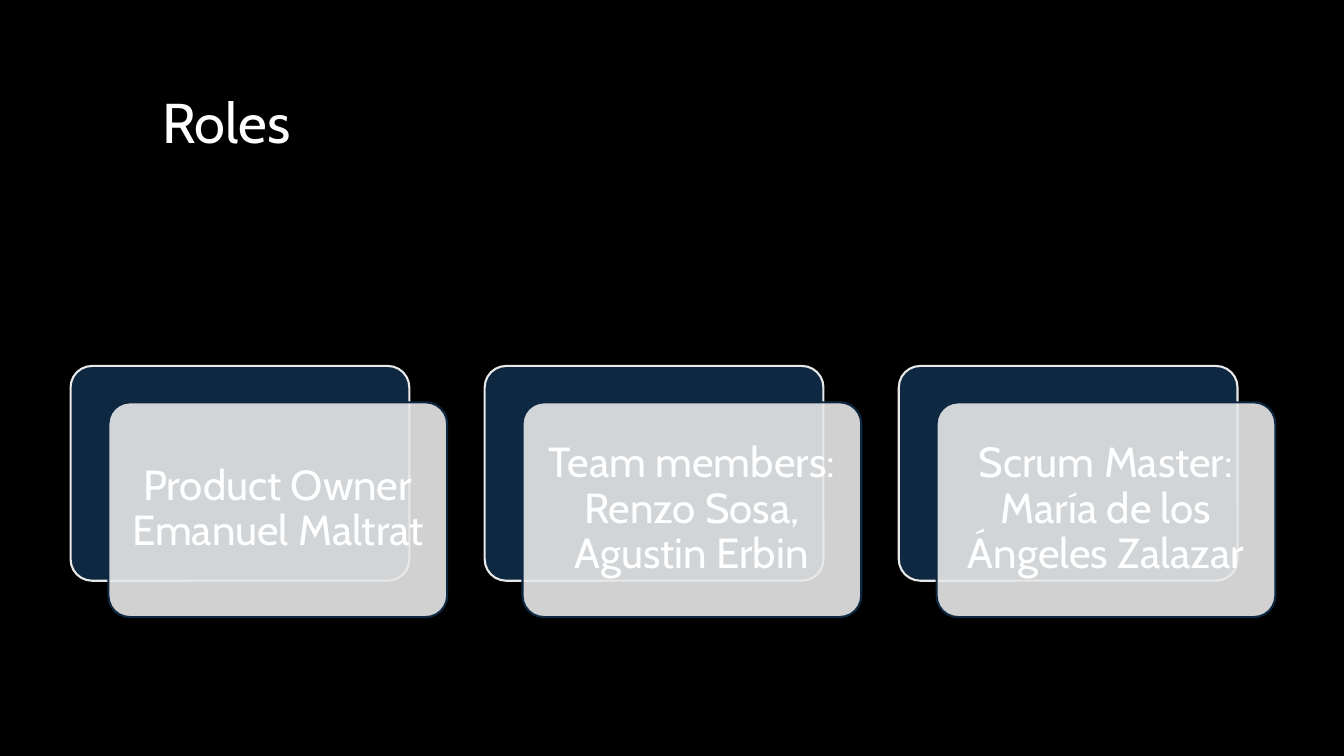
from pptx import Presentation
from pptx.dml.color import RGBColor
from pptx.enum import shapes as sh, text as tx
from pptx.oxml.ns import qn
from pptx.util import Pt
from lxml import etree

BLACK = RGBColor(0x00, 0x00, 0x00)
WHITE = RGBColor(0xFF, 0xFF, 0xFF)
NAVY = RGBColor(0x0E, 0x28, 0x41)
PALE = RGBColor(0xE8, 0xE8, 0xE8)
FONT = "Cabin"

ROLES = [
    "Product Owner Emanuel Maltrat",
    "Team members: Renzo Sosa, Agustin Erbin",
    "Scrum Master: María de los Ángeles Zalazar",
]
LEFT, TOP, PITCH = 50.4, 261.4, 295.8
WIDTH, HEIGHT = 242, 153.4
SHIFT_X, SHIFT_Y = 27, 26


def write(frame, words, size, align):
    frame.word_wrap = True
    frame.vertical_anchor = tx.MSO_ANCHOR.MIDDLE
    para = frame.paragraphs[0]
    para.alignment = align
    para.line_spacing = 0.9
    run = para.add_run()
    run.text = words
    run.font.name = FONT
    run.font.size = Pt(size)
    run.font.color.rgb = WHITE


def add_title(slide, words):
    box = slide.shapes.add_textbox(Pt(108.7), Pt(27.4), Pt(765.4), Pt(123.8))
    write(box.text_frame, words, 40, tx.PP_ALIGN.LEFT)


def add_card(slide, left, top, fill, line):
    card = slide.shapes.add_shape(sh.MSO_SHAPE.ROUNDED_RECTANGLE,
                                  Pt(left), Pt(top), Pt(WIDTH), Pt(HEIGHT))
    card.adjustments[0] = 0.1
    card.shadow.inherit = False
    card.fill.solid()
    card.fill.fore_color.rgb = fill
    card.line.color.rgb = line
    card.line.width = Pt(1.5)
    return card


def set_alpha(shape, percent):
    color = shape.fill._xPr.find(qn("a:solidFill"))[0]
    etree.SubElement(color, qn("a:alpha")).set("val", str(percent * 1000))


def add_role(slide, left, words):
    # Dark card behind, translucent card with the role in front
    add_card(slide, left, TOP, NAVY, PALE)
    front = add_card(slide, left + SHIFT_X, TOP + SHIFT_Y, PALE, NAVY)
    set_alpha(front, 90)
    frame = front.text_frame
    frame.margin_left = frame.margin_right = Pt(8.6)
    frame.margin_top = frame.margin_bottom = Pt(8.6)
    write(frame, words, 30, tx.PP_ALIGN.CENTER)


def main():
    deck = Presentation()
    deck.slide_width, deck.slide_height = Pt(960), Pt(540)
    slide = deck.slides.add_slide(deck.slide_layouts[6])

    # Background
    slide.background.fill.solid()
    slide.background.fill.fore_color.rgb = BLACK

    # Title and row of roles
    add_title(slide, "Roles")
    for i, words in enumerate(ROLES):
        add_role(slide, LEFT + i * PITCH, words)

    deck.save("out.pptx")


if __name__ == "__main__":
    main()
